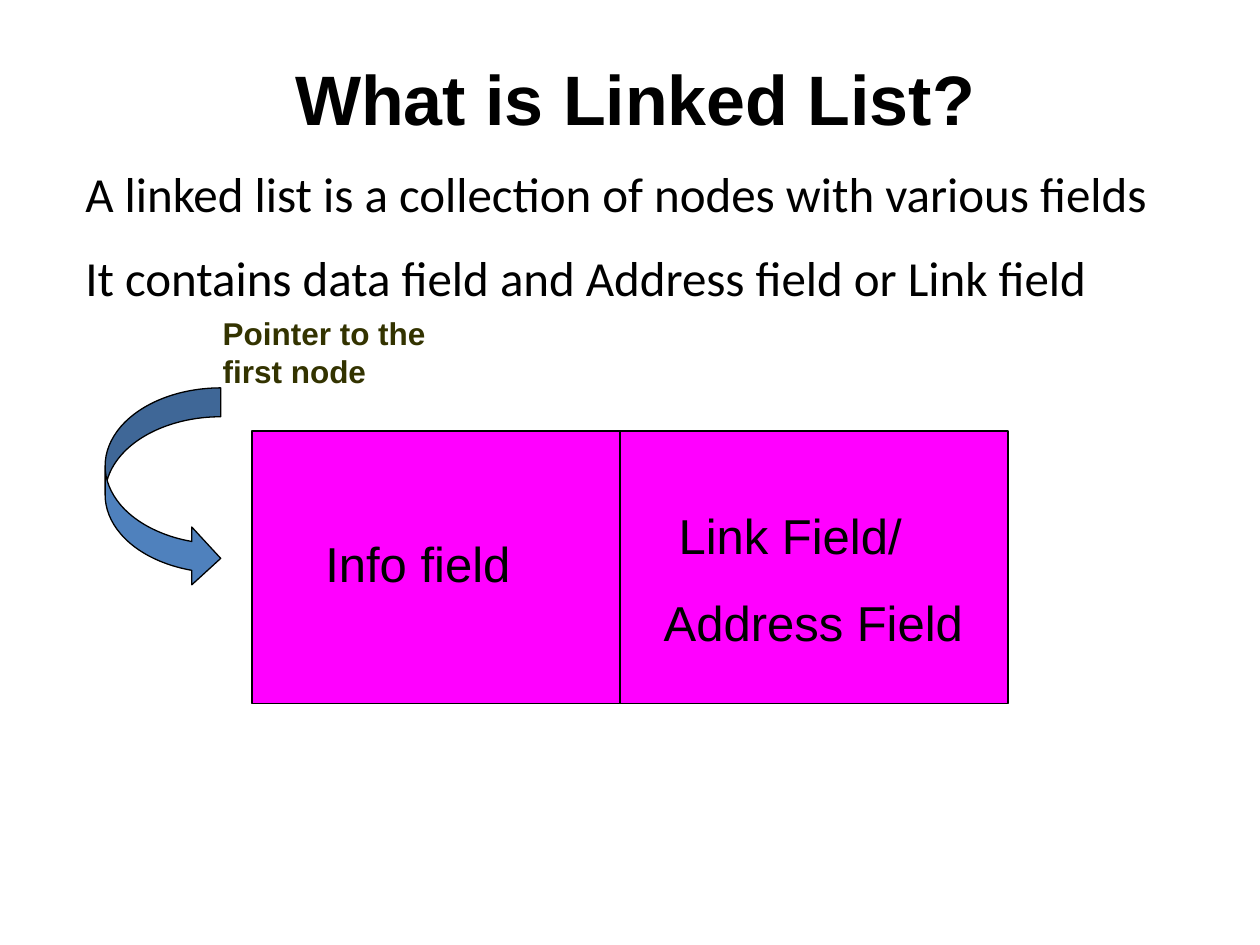
from pptx import Presentation
from pptx.dml.color import RGBColor
from pptx.enum.shapes import MSO_CONNECTOR, MSO_SHAPE
from pptx.enum.text import MSO_ANCHOR
from pptx.oxml.ns import qn
from pptx.util import Cm, Pt
from lxml import etree

RECT = MSO_SHAPE.RECTANGLE
CURVE = MSO_SHAPE.CURVED_RIGHT_ARROW
LINE = MSO_CONNECTOR.STRAIGHT
TOP = MSO_ANCHOR.TOP
BOTTOM = MSO_ANCHOR.BOTTOM

BLACK = RGBColor(0x00, 0x00, 0x00)
PINK = RGBColor(0xFF, 0x00, 0xFF)
BLUE = RGBColor(0x4F, 0x81, 0xBD)
OLIVE = RGBColor(0x33, 0x33, 0x00)


def write(para, text, size=28, face="Arial", color=BLACK, bold=False, indent=0, gap=0):
    """Fill one paragraph with formatted text."""
    para._p.get_or_add_pPr().set("marL", str(Cm(indent)))
    para.space_before = Pt(gap)
    run = para.add_run()
    run.text = text
    font = run.font
    font.size, font.name, font.bold = Pt(size), face, bold
    font.color.rgb = color


def add_text(slide, box, lines, anchor=TOP):
    """Add a text box holding (text, format) lines."""
    frame = slide.shapes.add_textbox(*map(Cm, box)).text_frame
    frame.word_wrap = True
    frame.vertical_anchor = anchor
    for i, (text, style) in enumerate(lines):
        para = frame.add_paragraph() if i else frame.paragraphs[0]
        write(para, text, **style)


def add_form(slide, kind, box, fill):
    """Add a filled shape with a thin black outline."""
    form = slide.shapes.add_shape(kind, *map(Cm, box))
    form.shadow.inherit = False
    form.fill.solid()
    form.fill.fore_color.rgb = fill
    form.line.color.rgb = BLACK
    form.line.width = Pt(0.75)


def add_intro(slide, box):
    """Place the title and the two statements."""
    body = dict(face="Calibri", gap=14)
    add_text(slide, box, [
        ("What is Linked List?", dict(size=40, bold=True, indent=4.23)),
        ("A linked list is a collection of nodes with various fields", body),
        ("It contains data field and Address field or Link field", body),
    ])


def add_node(slide, box):
    """Draw the node with its info and link fields."""
    left, top, width, height = box
    split = left + 7.42
    add_form(slide, RECT, box, PINK)
    line = slide.shapes.add_connector(
        LINE, Cm(split), Cm(top), Cm(split), Cm(top + height))
    line.line.color.rgb = BLACK
    line.line.width = Pt(0.75)
    etree.SubElement(line._element.spPr, qn("a:effectLst"))
    add_text(slide, (left + 0.84, top + 0.64, 5.72, 2.74),
             [("Info field", dict(indent=0.39))], BOTTOM)
    add_text(slide, (split + 0.63, top + 1.37, 6.55, 5), [
        ("Link Field/", dict(indent=0.3)),
        ("Address Field", dict(gap=16)),
    ])


def add_head(slide, box):
    """Draw the curved arrow and its label."""
    left, top, width, height = box
    add_form(slide, CURVE, (left, top + 1.62, 2.33, height - 1.62), BLUE)
    add_text(slide, (left + 2.12, top, width - 2.12, 1.78), [
        ("Pointer to the first node", dict(size=18, color=OLIVE, bold=True))])


def main():
    """Build and save the slide."""
    deck = Presentation()
    deck.slide_width, deck.slide_height = Cm(25.4), Cm(19.05)
    slide = deck.slides.add_slide(deck.slide_layouts[6])
    add_intro(slide, (1.47, 0.99, 23.93, 9.32))
    add_node(slide, (5.08, 8.69, 15.24, 5.5))
    add_head(slide, (2.12, 6.2, 7.2, 5.64))
    deck.save("out.pptx")


if __name__ == "__main__":
    main()
